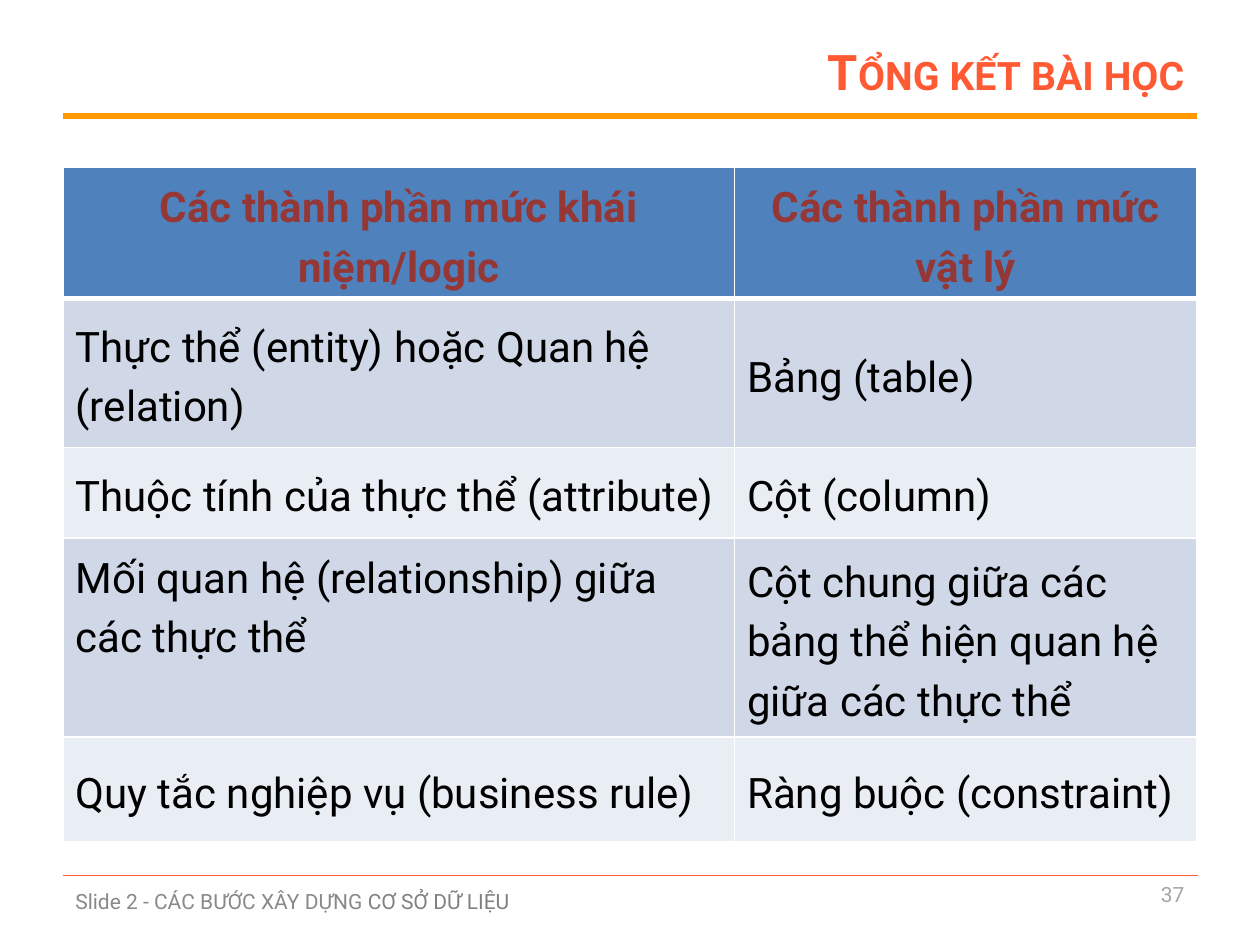
from pptx import Presentation
from pptx.dml.color import RGBColor
from pptx.enum.dml import MSO_LINE
from pptx.enum.shapes import MSO_CONNECTOR
from pptx.enum.text import MSO_ANCHOR as Anchor, PP_ALIGN as Align
from pptx.oxml.ns import qn
from pptx.util import Inches, Pt
from lxml.etree import SubElement

FONT = "Roboto"
LEFT, WIDTH = 0.5, 9
ORANGE, AMBER, WHITE = "FF5A33", "FF9900", "FFFFFF"
HEADER_FILL, HEADER_TEXT = "4F81BD", "953735"
BAND_FILLS = ["D0D8E8", "E9EDF4"]

COLUMN_WIDTHS = [5.33, 3.67]
ROW_HEIGHTS = [1.04, 1.18, 0.72, 1.58, 0.83]
ROWS = [
    ("Các thành phần mức khái niệm/logic", "Các thành phần mức vật lý"),
    ("Thực thể (entity) hoặc Quan hệ (relation)", "Bảng (table)"),
    ("Thuộc tính của thực thể (attribute)", "Cột (column)"),
    ("Mối quan hệ (relationship) giữa các thực thể",
     "Cột chung giữa các bảng thể hiện quan hệ giữa các thực thể"),
    ("Quy tắc nghiệp vụ (business rule)", "Ràng buộc (constraint)"),
]
TOP_ANCHORED = (3, 0)


def color(hex_value):
    return RGBColor.from_string(hex_value)


def add_run(paragraph, text, *, size, fill, bold=False, small_caps=False):
    run = paragraph.add_run()
    run.text = text
    run.font.name = FONT
    run.font.size = Pt(size)
    run.font.bold = bold
    run.font.color.rgb = color(fill)
    if small_caps:
        run.font._element.set("cap", "small")


def add_rule(slide, left, top, width, *, fill, weight, dash=None):
    line = slide.shapes.add_connector(
        MSO_CONNECTOR.STRAIGHT, Inches(left), Inches(top),
        Inches(left + width), Inches(top))
    line.line.color.rgb = color(fill)
    line.line.width = Pt(weight)
    if dash:
        line.line.dash_style = dash
    SubElement(line._element.spPr, qn("a:effectLst"))


def add_text_box(slide, left, top, width, height, runs, *,
                 align=Align.LEFT, anchor=Anchor.TOP):
    box = slide.shapes.add_textbox(
        Inches(left), Inches(top), Inches(width), Inches(height))
    box.text_frame.word_wrap = True
    box.text_frame.vertical_anchor = anchor
    paragraph = box.text_frame.paragraphs[0]
    paragraph.alignment = align
    for text, fill in runs:
        add_run(paragraph, text, size=12, fill=fill)


def set_borders(cell, **weights):
    properties = cell._tc.get_or_add_tcPr()
    for side in "LRTB":
        border = SubElement(properties, qn(f"a:ln{side}"),
                            w=str(Pt(weights.get(side, 1))))
        solid = SubElement(border, qn("a:solidFill"))
        SubElement(solid, qn("a:srgbClr"), val=WHITE)


def add_header(slide, left, top, width, height):
    title = slide.shapes.title
    title.left, title.top = Inches(left), Inches(top)
    title.width, title.height = Inches(width), Inches(height)
    title.text_frame.vertical_anchor = Anchor.MIDDLE
    paragraph = title.text_frame.paragraphs[0]
    paragraph.alignment = Align.RIGHT
    add_run(paragraph, "Tổng kết bài học", size=28, fill=ORANGE,
            bold=True, small_caps=True)
    add_rule(slide, LEFT, 0.92, WIDTH, fill=AMBER, weight=3)


def add_summary_table(slide, left, top, width, height):
    table = slide.shapes.add_table(
        len(ROWS), len(COLUMN_WIDTHS), Inches(left), Inches(top),
        Inches(width), Inches(height)).table
    for column, column_width in zip(table.columns, COLUMN_WIDTHS):
        column.width = Inches(column_width)
    for row, row_height in zip(table.rows, ROW_HEIGHTS):
        row.height = Inches(row_height)

    for i, texts in enumerate(ROWS):
        header = i == 0
        for j, text in enumerate(texts):
            cell = table.cell(i, j)
            set_borders(cell, T=3 if i == 1 else 1, B=3 if header else 1)
            cell.fill.solid()
            cell.fill.fore_color.rgb = color(
                HEADER_FILL if header else BAND_FILLS[(i - 1) % 2])
            cell.vertical_anchor = (
                Anchor.TOP if (i, j) == TOP_ANCHORED else Anchor.MIDDLE)
            paragraph = cell.text_frame.paragraphs[0]
            paragraph.alignment = Align.CENTER if header else Align.LEFT
            paragraph.line_spacing = 1.2
            add_run(paragraph, text, size=24, bold=header,
                    fill=HEADER_TEXT if header else "000000")


def add_footer(slide, left, top, width, height):
    add_rule(slide, left, top, width, fill=ORANGE, weight=0.25,
             dash=MSO_LINE.ROUND_DOT)
    add_text_box(slide, left, top, 4.17, height,
                 [("Slide 2 - CÁC BƯỚC XÂY DỰNG ", "898989"),
                  ("CƠ SỞ DỮ LIỆU", "808080")], anchor=Anchor.MIDDLE)
    number_width = 2.33
    add_text_box(slide, left + width - number_width, top, number_width, height,
                 [("37", "A6A6A6")], align=Align.RIGHT)


def main():
    presentation = Presentation()
    presentation.slide_width = Inches(10)
    presentation.slide_height = Inches(7.5)
    title_only = presentation.slide_layouts[5]
    slide = presentation.slides.add_slide(title_only)

    add_header(slide, 2.25, 0.3, 7.25, 0.53)
    add_summary_table(slide, LEFT, 1.33, WIDTH, sum(ROW_HEIGHTS))
    add_footer(slide, LEFT, 6.95, WIDTH, 0.4)
    presentation.save("out.pptx")


if __name__ == "__main__":
    main()
